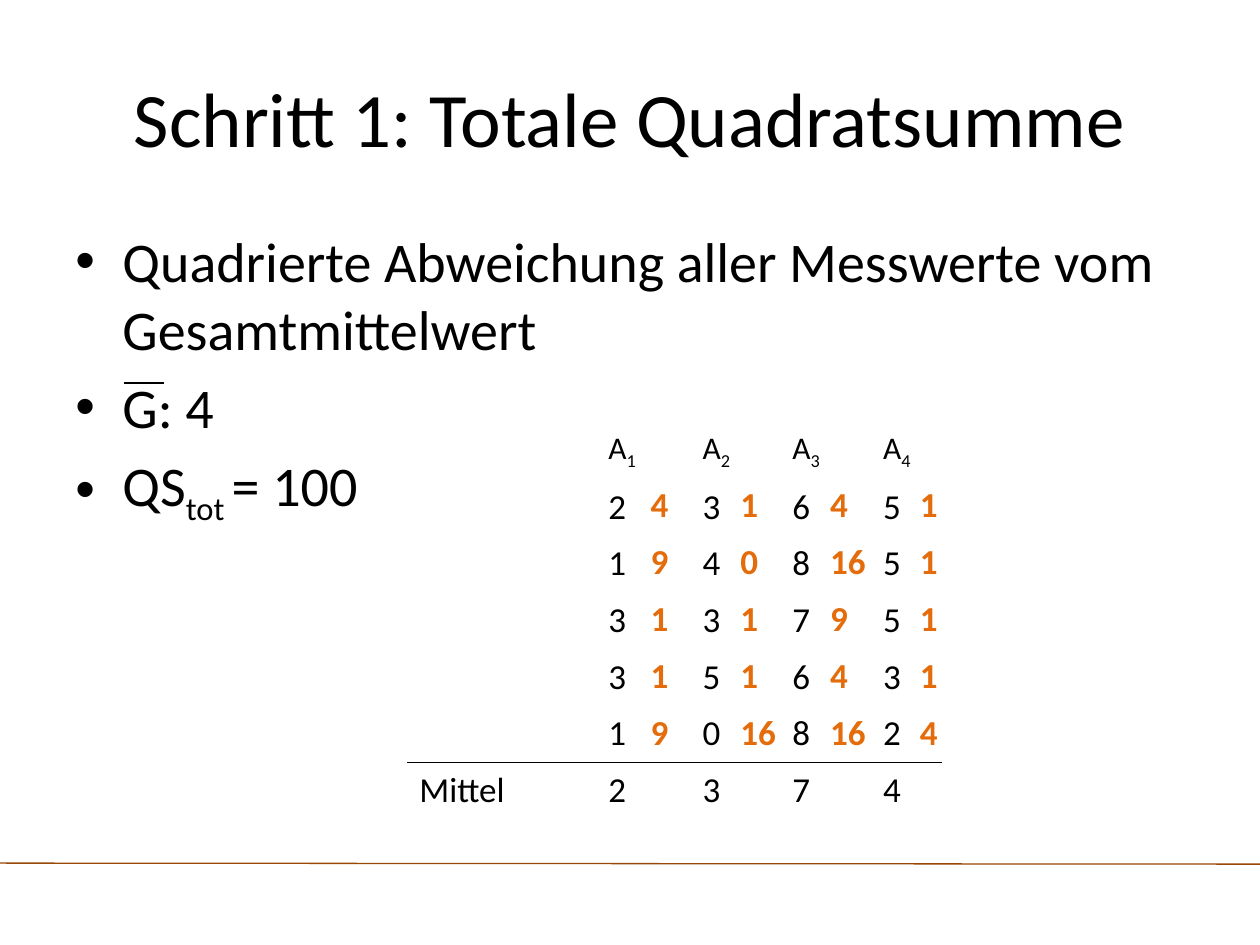
"""Build the slide on the total sum of squares."""
from lxml.etree import SubElement
from pptx import Presentation
from pptx.dml.color import RGBColor
from pptx.enum.shapes import MSO_CONNECTOR as Connector
from pptx.enum.text import MSO_ANCHOR as Anchor, PP_ALIGN as Align
from pptx.oxml import parse_xml
from pptx.oxml.ns import nsdecls, qn
from pptx.util import Cm, Pt

TITLE = "Schritt 1: Totale Quadratsumme"
BULLETS = [
    [("Quadrierte Abweichung aller Messwerte vom Gesamtmittelwert", False)],
    [("G: 4", False)],
    [("QS", False), ("tot ", True), ("= 100", False)],
]
GROUPS = [[("A", False), (str(number), True)] for number in range(1, 5)]
VALUES = [(2, 3, 6, 5), (1, 4, 8, 5), (3, 3, 7, 5), (3, 5, 6, 3), (1, 0, 8, 2)]
MEANS = ("Mittel", 2, 3, 7, 4)
SQUARES = [(4, 1, 4, 1), (9, 0, 16, 1), (1, 1, 9, 1), (1, 1, 4, 1), (9, 16, 16, 4)]
VALUE_WIDTHS = (3.81, 1.9, 1.81, 1.83, 1.44)
SQUARE_WIDTHS = (1.81, 1.81, 1.81, 1.81, 1.6)
NO_STYLE = "{2D5ABB26-0587-4C30-8999-92F81FD0307C}"
BLACK, ORANGE, BROWN = "000000", "E46C0A", "984807"


def color(value):
    return RGBColor.from_string(value)


def write(para, content, size=20, fill=BLACK, bold=False):
    """Add text, or (text, subscript) pairs, to a paragraph."""
    for text, subscript in content if isinstance(content, list) else [(str(content), False)]:
        span = para.add_run()
        span.text = text
        span.font.name, span.font.size, span.font.bold = "Calibri", Pt(size), bold
        span.font.color.rgb = color(fill)
        if subscript:
            span.font._element.set("baseline", "-25000")


def add_bullet(para):
    props = para._p.get_or_add_pPr()
    props.set("marL", str(Cm(0.95)))
    props.set("indent", str(-Cm(0.95)))
    SubElement(props, qn("a:buFont")).set("typeface", "Arial")
    SubElement(props, qn("a:buChar")).set("char", "•")


def add_line(start, end, fill, width):
    line = page.shapes.add_connector(Connector.STRAIGHT, *map(Cm, start + end))
    line.line.color.rgb = color(fill)
    line.line.width = Pt(width)
    SubElement(line._element.spPr, qn("a:effectLst"))


def add_border(cell, side):
    cell._tc.get_or_add_tcPr().insert(0, parse_xml(
        f'<a:{side} {nsdecls("a")} w="{Pt(1)}"><a:solidFill>'
        f'<a:srgbClr val="{BLACK}"/></a:solidFill></a:{side}>'))


def add_grid(rows, left, top, widths, row_height, **style):
    """Add an unstyled table and return it."""
    frame = page.shapes.add_table(len(rows), len(widths), Cm(left), Cm(top),
                                  Cm(sum(widths)), Cm(row_height * len(rows)))
    table = frame.table
    table.first_row = table.horz_banding = False
    table._tbl.tblPr.find(qn("a:tableStyleId")).text = NO_STYLE
    for column, width in zip(table.columns, widths):
        column.width = Cm(width)
    for index, row in enumerate(rows):
        for cell, content in zip(table.rows[index].cells, row):
            cell.fill.background()
            if content != "":
                size = 18 if isinstance(content, list) else 20
                write(cell.text_frame.paragraphs[0], content, size, **style)
    return table


deck = Presentation()
deck.slide_width, deck.slide_height = Cm(25.4), Cm(19.05)
page = deck.slides.add_slide(deck.slide_layouts[5])

add_line((0, 17.4), (25.4, 17.42), BROWN, 0.75)

title = page.shapes.title
title.left, title.top, title.width, title.height = map(Cm, (1.27, 0.76, 22.86, 3.18))
title.text_frame.vertical_anchor = Anchor.MIDDLE
title.text_frame.paragraphs[0].alignment = Align.CENTER
write(title.text_frame.paragraphs[0], TITLE, 44)

body = page.shapes.add_textbox(Cm(1.27), Cm(4.45), Cm(22.86), Cm(12.57)).text_frame
body.word_wrap = True
for index, content in enumerate(BULLETS):
    para = body.add_paragraph() if index else body.paragraphs[0]
    para.space_before = Pt(6.4)
    add_bullet(para)
    write(para, content, 32)

value_rows = [["", *GROUPS], *[["", *row] for row in VALUES], MEANS]
values = add_grid(value_rows, 8.2, 8.53, VALUE_WIDTHS, 1.14)
for index in range(len(VALUE_WIDTHS)):
    add_border(values.cell(len(VALUES), index), "lnB")
    add_border(values.cell(len(VALUES) + 1, index), "lnT")

blank_row = [""] * len(SQUARE_WIDTHS)
square_rows = [blank_row, *[["", *row] for row in SQUARES], blank_row]
add_grid(square_rows, 11.05, 8.48, SQUARE_WIDTHS, 1.15, fill=ORANGE, bold=True)

add_line((2.49, 7.72), (3.3, 7.72), BLACK, 1)

deck.save("out.pptx")
